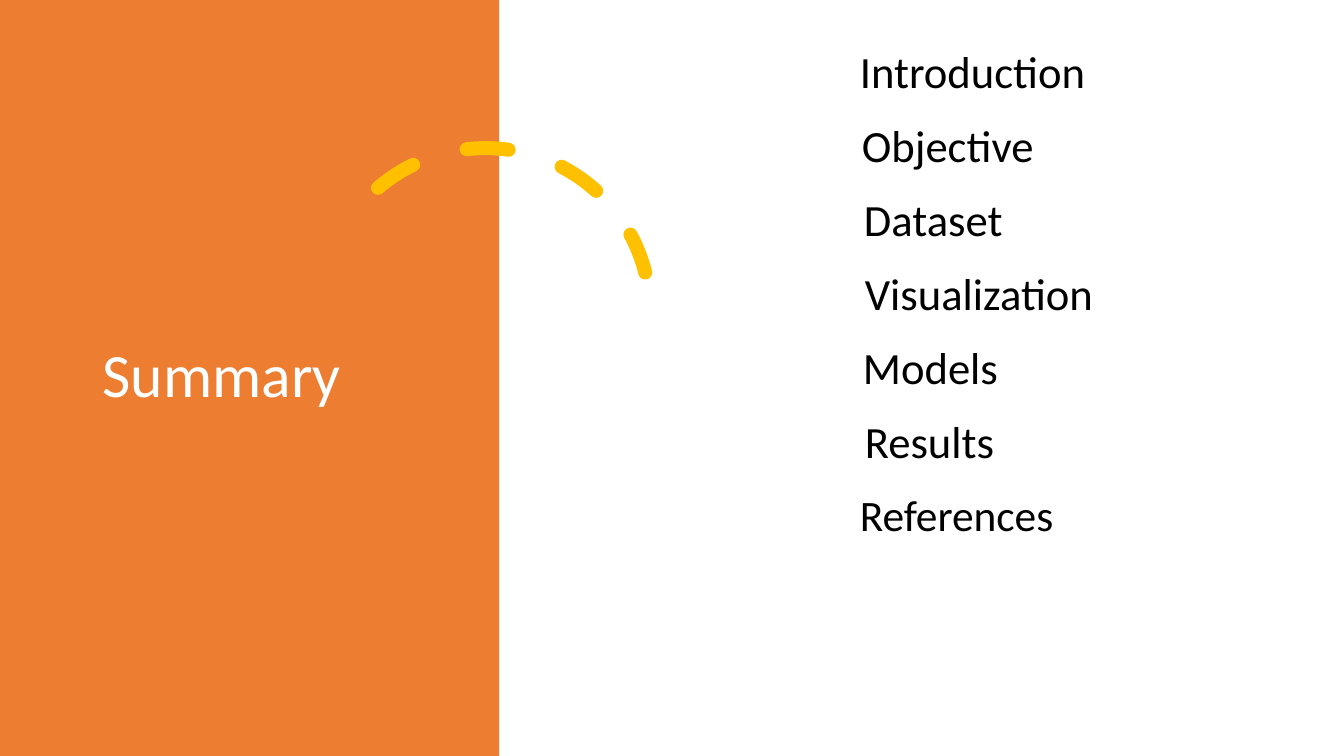
from dataclasses import dataclass

from pptx import Presentation
from pptx.dml.color import RGBColor
from pptx.enum.dml import MSO_LINE
from pptx.enum.shapes import MSO_SHAPE
from pptx.enum.text import MSO_ANCHOR, MSO_AUTO_SIZE
from pptx.util import Inches, Pt

RECTANGLE, ARC = MSO_SHAPE.RECTANGLE, MSO_SHAPE.ARC
DASH = MSO_LINE.DASH
TOP, MIDDLE = MSO_ANCHOR.TOP, MSO_ANCHOR.MIDDLE
GROW, FIXED = MSO_AUTO_SIZE.SHAPE_TO_FIT_TEXT, MSO_AUTO_SIZE.NONE

TITLE = "Summary"
# text, left nudge, width, height, wraps, size
TOPICS = [
    ("Introduction", 0, 3.19, 1.03, True, 31.9),
    ("Objective", 0.02, 1.93, 1.03, False, 31.9),
    ("Dataset", 0.04, 1.59, 1.03, False, 31.9),
    ("Visualization", 0.05, 2.5, 1.03, False, 31.9),
    ("Models", 0.03, 1.95, 0.64, True, 31.9),
    ("Results", 0.05, 1.74, 0.64, True, 31.9),
    ("References", 0, 2.14, 0.62, False, 31),
]
SLIDE_WIDTH, SLIDE_HEIGHT = 13.33, 7.5
PANEL_WIDTH = 4.95
LIST_LEFT, FIRST_TOP, LAST_TOP = 8.43, 0.39, 4.79
ROW_STEP = (LAST_TOP - FIRST_TOP) / (len(TOPICS) - 1)


@dataclass(frozen=True)
class Theme:
    font: str = "Calibri"
    panel: RGBColor = RGBColor(0xED, 0x7D, 0x31)
    accent: RGBColor = RGBColor(0xFF, 0xC0, 0x00)
    title: RGBColor = RGBColor(0xFF, 0xFF, 0xFF)
    body: RGBColor = RGBColor(0x00, 0x00, 0x00)
    title_size: float = 44
    arc_width: float = 10


THEME = Theme()


def add_preset(slide, preset, box):
    shape = slide.shapes.add_shape(preset, *map(Inches, box))
    shape.shadow.inherit = False
    return shape


def add_text(slide, text, box, size, color, anchor=TOP, wraps=True, fit=GROW):
    frame = slide.shapes.add_textbox(*map(Inches, box)).text_frame
    frame.word_wrap = wraps
    frame.auto_size = fit
    frame.vertical_anchor = anchor
    paragraph = frame.paragraphs[0]
    run = paragraph.add_run()
    run.text = text
    run.font.name = THEME.font
    run.font.size = Pt(size)
    run.font.color.rgb = color
    return paragraph


def add_panel(slide):
    panel = add_preset(slide, RECTANGLE, (0, 0, PANEL_WIDTH, SLIDE_HEIGHT))
    panel.fill.solid()
    panel.fill.fore_color.rgb = THEME.panel
    panel.line.fill.background()


def add_dashed_arc(slide):
    arc = add_preset(slide, ARC, (3.18, 1.47, 3.27, 3.27))
    arc.adjustments[0] = 146.13
    arc.adjustments[1] = 0
    arc.rotation = 345.8
    arc.fill.background()
    arc.line.color.rgb = THEME.accent
    arc.line.width = Pt(THEME.arc_width)
    arc.line.dash_style = DASH
    arc.line._get_or_add_ln().set("cap", "rnd")


def main():
    presentation = Presentation()
    presentation.slide_width = Inches(SLIDE_WIDTH)
    presentation.slide_height = Inches(SLIDE_HEIGHT)
    slide = presentation.slides.add_slide(presentation.slide_layouts[6])
    add_panel(slide)
    add_dashed_arc(slide)
    title = add_text(slide, TITLE, (0.92, 0.7, 3.23, 6.09), THEME.title_size,
                     THEME.title, anchor=MIDDLE, fit=FIXED)
    title.line_spacing = 0.9
    for row, (text, nudge, width, height, wraps, size) in enumerate(TOPICS):
        box = (LIST_LEFT + nudge, FIRST_TOP + row * ROW_STEP, width, height)
        topic = add_text(slide, text, box, size, THEME.body, wraps=wraps)
        topic.space_after = Pt(6)
    presentation.save("out.pptx")


if __name__ == "__main__":
    main()
